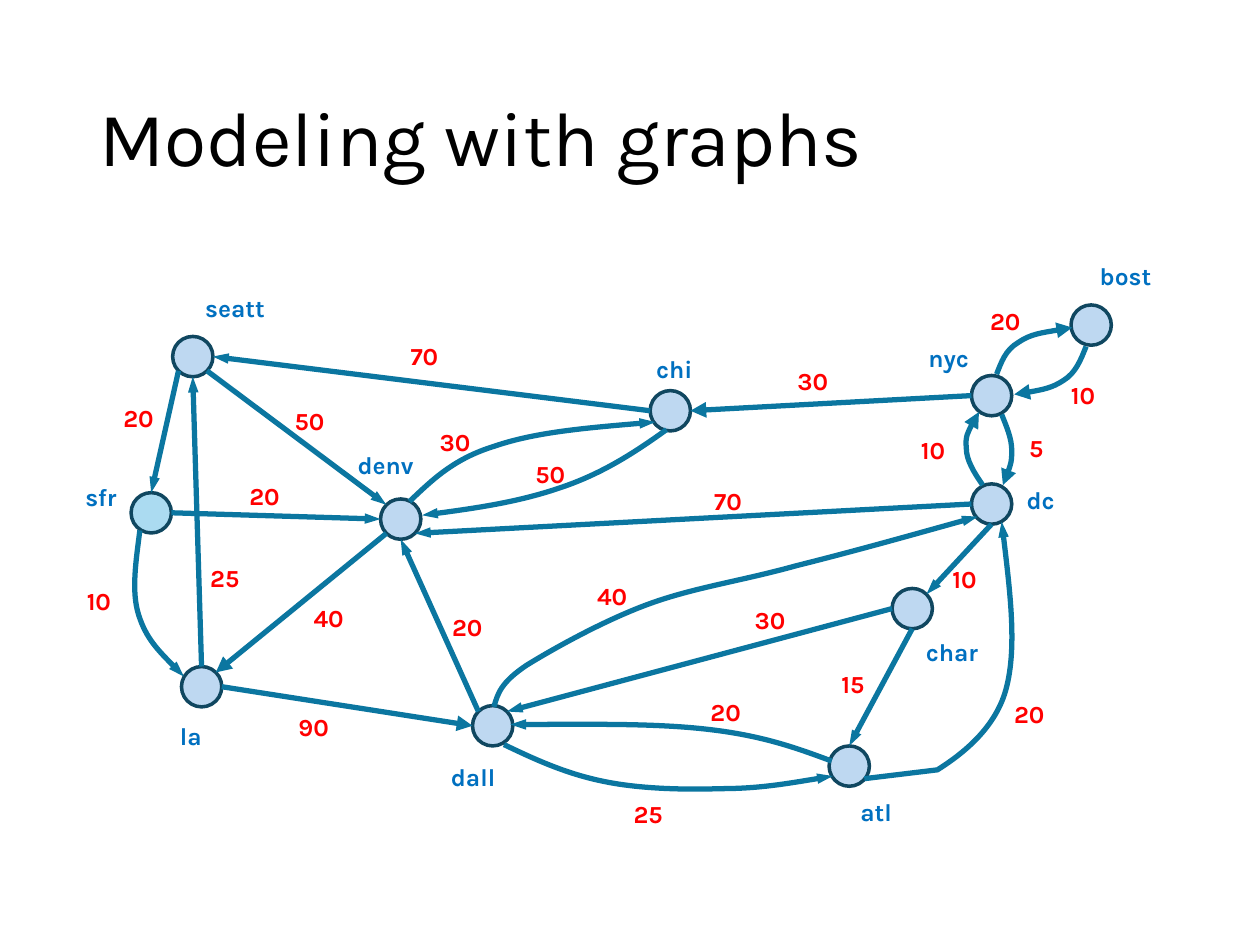
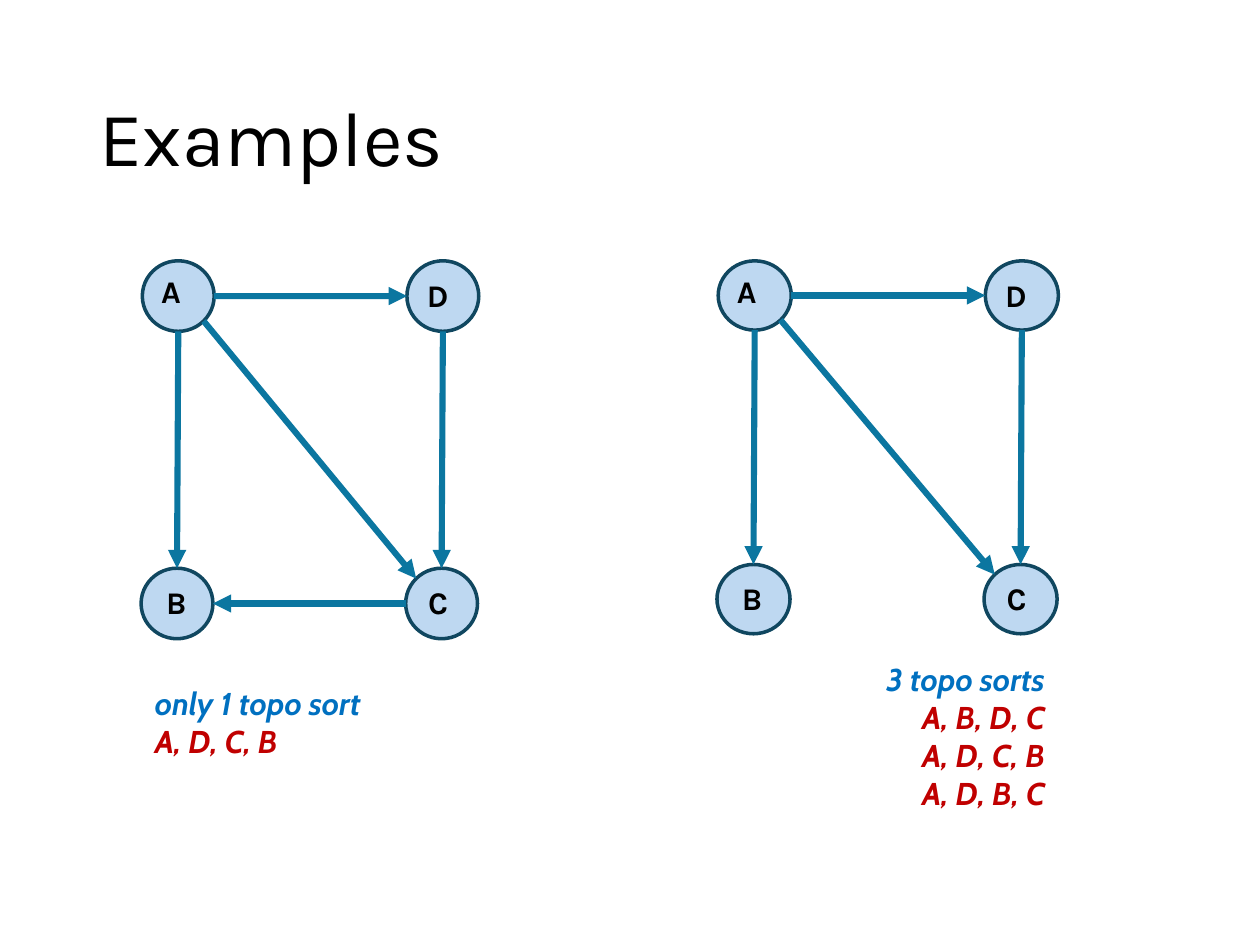
import math

from lxml import etree
from pptx import Presentation
from pptx import util as u
from pptx.dml.color import RGBColor
from pptx.enum import shapes as kinds, text as txt
from pptx.oxml.ns import qn

HUES = {
    "black": "000000", "node": "71AAE0", "start": "46B1E1", "rim": "104760",
    "edge": "0B76A0", "name": "0070C0", "cost": "FF0000", "sort": "C00000",
}
FONT, NOTE = "Karla", "Cabin"
SIDES = ["e", "se", "s", "sw", "w", "nw", "n", "ne"]

# City: left, top of its node; left, top, width of its name
CITIES = {
    "sfr": (0.54, 1.91, 0.08, 1.78, 0.49),
    "seatt": (0.87, 0.67, 1.03, 0.28, 0.75),
    "la": (0.94, 3.29, 0.83, 3.67, 0.75),
    "dall": (3.25, 3.6, 2.98, 4.0, 0.75),
    "atl": (6.08, 3.92, 6.23, 4.28, 0.66),
    "bost": (8.0, 0.42, 8.13, 0.02, 0.66),
    "nyc": (7.21, 0.98, 6.77, 0.67, 0.66),
    "dc": (7.21, 1.84, 7.55, 1.8, 0.66),
    "chi": (4.66, 1.1, 4.61, 0.76, 0.66),
    "char": (6.58, 2.67, 6.75, 3.01, 0.66),
    "denv": (2.52, 1.96, 2.24, 1.52, 0.66),
}
# Straight road: its two cities, the sides it joins, cost and its place
ROADS = [
    ("seatt", "sfr", "sw", "n", "20", 0.38, 1.15),
    ("la", "seatt", "n", "s", "25", 1.07, 2.42),
    ("chi", "seatt", "w", "e", "70", 2.66, 0.66),
    ("nyc", "chi", "w", "e", "30", 5.73, 0.86),
    ("la", "dall", "e", "w", "90", 1.77, 3.6),
    ("seatt", "denv", "se", "nw", "50", 1.74, 1.17),
    ("denv", "la", "sw", "ne", "40", 1.89, 2.74),
    ("dc", "denv", "w", "se", "70", 5.07, 1.81),
    ("dall", "denv", "nw", "s", "20", 2.99, 2.81),
    ("dc", "char", "s", "ne", "10", 6.96, 2.43),
    ("char", "dall", "w", "ne", "30", 5.39, 2.75),
    ("char", "atl", "s", "n", "15", 6.08, 3.26),
    ("sfr", "denv", "e", "w", "20", 1.38, 1.77),
]
# Curved road: its two cities, cost and its place, points of its Bezier chain
BENDS = [
    ("atl", "dc", "20", 7.45, 3.5, [
        (6.36, 4.18), (6.94, 4.11), (7.13, 3.99), (7.41, 3.78),
        (7.49, 3.45), (7.57, 3.13), (7.51, 2.63), (7.45, 2.14)]),
    ("atl", "dall", "20", 5.04, 3.48, [
        (6.1, 4.04), (5.83, 3.94), (5.56, 3.84), (5.13, 3.79),
        (4.71, 3.74), (4.13, 3.75), (3.55, 3.75)]),
    ("dall", "dc", "40", 4.14, 2.56, [
        (3.42, 3.61), (3.45, 3.51), (3.47, 3.42), (3.68, 3.28), (3.89, 3.15),
        (4.3, 2.92), (4.66, 2.79), (5.02, 2.66), (5.39, 2.61), (5.82, 2.49),
        (6.26, 2.38), (6.76, 2.24), (7.26, 2.1)]),
    ("dall", "atl", "25", 4.43, 4.29, [
        (3.5, 3.91), (3.75, 4.03), (3.99, 4.14), (4.28, 4.2), (4.56, 4.26),
        (4.91, 4.27), (5.22, 4.26), (5.52, 4.26), (5.81, 4.21), (6.11, 4.16)]),
    ("chi", "denv", "50", 3.65, 1.59, [
        (4.79, 1.41), (4.54, 1.59), (4.28, 1.76), (3.95, 1.87),
        (3.63, 1.98), (3.24, 2.04), (2.85, 2.09)]),
    ("denv", "chi", "30", 2.89, 1.34, [
        (2.75, 1.98), (2.93, 1.81), (3.1, 1.64), (3.43, 1.54),
        (3.75, 1.43), (4.23, 1.39), (4.7, 1.35)]),
    ("sfr", "la", "10", 0.09, 2.6, [
        (0.61, 2.21), (0.58, 2.45), (0.54, 2.69), (0.6, 2.88),
        (0.66, 3.07), (0.81, 3.22), (0.96, 3.37)]),
    ("nyc", "bost", "20", 7.26, 0.38, [
        (7.41, 0.97), (7.45, 0.87), (7.48, 0.78), (7.58, 0.72),
        (7.68, 0.65), (7.84, 0.63), (8.01, 0.6)]),
    ("bost", "nyc", "10", 7.9, 0.97, [
        (8.12, 0.75), (8.08, 0.85), (8.04, 0.96), (7.94, 1.02),
        (7.85, 1.08), (7.7, 1.11), (7.55, 1.13)]),
    ("nyc", "dc", "5", 7.57, 1.39, [
        (7.45, 1.29), (7.49, 1.39), (7.53, 1.48), (7.53, 1.58),
        (7.53, 1.67), (7.5, 1.76), (7.46, 1.85)]),
    ("dc", "nyc", "10", 6.71, 1.4, [
        (7.3, 1.85), (7.23, 1.75), (7.17, 1.65), (7.17, 1.56),
        (7.16, 1.46), (7.21, 1.37), (7.27, 1.27)]),
]
# Roads with a broad arrowhead
BROAD = {("nyc", "chi"), ("la", "dall"), ("denv", "la"), ("nyc", "bost"),
         ("bost", "nyc"), ("nyc", "dc"), ("dc", "nyc")}
# Letter: column, row, and shift of the letter inside its node
SPOTS = {"A": (0, 0, 0.05, 0.04), "D": (1, 0, 0.06, 0.07),
         "B": (0, 1, 0.1, 0.07), "C": (1, 1, 0.08, 0.07)}
LINKS = [("A", "s", "B", "n"), ("D", "s", "C", "n"),
         ("A", "se", "C", "nw"), ("A", "e", "D", "w")]


def rgb(hue):
    return RGBColor.from_string(HUES[hue])


def style(para, hue, size, font=FONT, bold=True, slant=False):
    for run in para.runs:
        face = run.font
        face.name, face.size = font, u.Pt(size)
        face.bold, face.italic = bold, slant
        face.color.rgb = rgb(hue)


def label(shapes, words, left, top, width, height):
    """Add a text box and return its paragraphs."""
    box = shapes.add_textbox(*map(u.Inches, (left, top, width, height)))
    frame = box.text_frame
    frame.word_wrap = True
    frame.text = words
    frame.auto_size = txt.MSO_AUTO_SIZE.SHAPE_TO_FIT_TEXT
    return frame.paragraphs


def tag(shapes, words, hue, left, top, width=0.61):
    style(label(shapes, words, left, top, width, 0.34)[0], hue, 14)


def node(shapes, left, top, width, height, hue="node"):
    """Add a see-through circle and return its box."""
    box = (left, top, width, height)
    dot = shapes.add_shape(kinds.MSO_SHAPE.OVAL, *map(u.Inches, box))
    dot.shadow.inherit = False
    dot.fill.solid()
    dot.fill.fore_color.rgb = rgb(hue)
    tint = dot._element.spPr.find(qn("a:solidFill"))[0]
    etree.SubElement(tint, qn("a:alpha"), val="45000")
    dot.line.color.rgb = rgb("rim")
    dot.line.width = u.Pt(2)
    return box


def point(box, side):
    """Return the place on the rim of a node at a compass side."""
    left, top, width, height = box
    turn = math.radians(45 * SIDES.index(side))
    return (left + width / 2 * (1 + math.cos(turn)),
            top + height / 2 * (1 + math.sin(turn)))


def ink(shape, size, head):
    """Draw a line or curve as an arrow."""
    shape.line.color.rgb = rgb("edge")
    shape.line.width = u.Pt(size)
    line = shape._element.spPr.find(qn("a:ln"))
    etree.SubElement(line, qn("a:tailEnd"), type="triangle", w=head)


def arrow(shapes, start, end, size, head="med"):
    line = shapes.add_connector(
        kinds.MSO_CONNECTOR.STRAIGHT, *map(u.Inches, (*start, *end)))
    ink(line, size, head)
    etree.SubElement(line._element.spPr, qn("a:effectLst"))


def curve(shapes, chain, size, head):
    """Draw a Bezier chain; one point to spare makes a straight start."""
    first, *rest = [tuple(map(u.Inches, spot)) for spot in chain]
    pen = shapes.build_freeform(*first)
    pen.add_line_segments(rest, close=False)
    bend = pen.convert_to_shape()
    path = bend._element.find(".//" + qn("a:path"))
    steps = path.findall(qn("a:lnTo"))
    for i in range(len(steps) % 3, len(steps), 3):
        arc = etree.SubElement(path, qn("a:cubicBezTo"))
        for step in steps[i:i + 3]:
            arc.append(step[0])
            path.remove(step)
    bend.shadow.inherit = False
    bend.fill.background()
    ink(bend, size, head)


def page(deck, words):
    """Add a slide with its title and return its shapes."""
    slide = deck.slides.add_slide(deck.slide_layouts[5])
    title = slide.shapes.title
    title.left, title.top = u.Inches(0.69), u.Inches(0.4)
    title.width, title.height = u.Inches(8.62), u.Inches(1.45)
    frame = title.text_frame
    frame.text = words
    frame.vertical_anchor = txt.MSO_ANCHOR.MIDDLE
    para = frame.paragraphs[0]
    para.alignment = txt.PP_ALIGN.LEFT
    para.line_spacing = 0.9
    style(para, "black", 44, bold=False)
    return slide.shapes


def routes(shapes, left, top):
    """Draw the city map from its top left corner."""
    dots = {}
    for city, (x, y, *_) in CITIES.items():
        hue = "start" if city == "sfr" else "node"
        dots[city] = node(shapes, left + x, top + y, 0.32, 0.32, hue)
    for a, b, out, side, *_ in ROADS:
        head = "med" if (a, b) in BROAD else "sm"
        arrow(shapes, point(dots[a], out), point(dots[b], side), 3, head)
    for a, b, *_, chain in BENDS:
        head = "med" if (a, b) in BROAD else "sm"
        curve(shapes, [(left + x, top + y) for x, y in chain], 3, head)
    for city, (*_, x, y, width) in CITIES.items():
        tag(shapes, city, "name", left + x, top + y, width)
    costs = [road[4:] for road in ROADS] + [bend[2:5] for bend in BENDS]
    for cost, x, y in costs:
        tag(shapes, cost, "cost", left + x, top + y)


def square(shapes, box, size, links):
    """Draw four lettered nodes in the corners of a box."""
    left, top, width, height = box
    wide, high = size
    part = shapes.add_group_shape().shapes
    dots = {}
    for name, (col, row, *_) in SPOTS.items():
        dots[name] = node(part, left + col * (width - wide) - 0.01 * row,
                          top + row * (height - high), wide, high)
    for a, out, b, side in links:
        arrow(part, point(dots[a], out), point(dots[b], side), 3.5)
    for name, (*_, dx, dy) in SPOTS.items():
        x, y, *_ = dots[name]
        para = label(part, name, x + dx, y + dy, 0.5, 0.44)[0]
        para.space_after = u.Pt(6)
        style(para, "black", 18)


def sorts(shapes, box, lines, align):
    """Write a heading and the orders below it."""
    for i, para in enumerate(label(shapes, "\n".join(lines), *box)):
        para.alignment = align
        style(para, "sort" if i else "name", 18, NOTE, slant=True)


def main():
    deck = Presentation()
    deck.slide_width, deck.slide_height = u.Inches(10), u.Inches(7.5)

    routes(page(deck, "Modeling with graphs"), 0.5, 2)

    shapes = page(deck, "Examples")
    square(shapes, (1.13, 2.07, 2.67, 3), (0.57, 0.56),
           LINKS + [("C", "w", "B", "e")])
    sorts(shapes, (1.13, 5.38, 2.35, 0.71),
          ["only 1 topo sort", "A, D, C, B"], txt.PP_ALIGN.LEFT)
    sorts(shapes, (5.84, 5.19, 2.55, 1.31),
          ["3 topo sorts", "A, B, D, C", "A, D, C, B", "A, D, B, C"],
          txt.PP_ALIGN.RIGHT)
    square(shapes, (5.7, 2.07, 2.7, 2.96), (0.58, 0.55), LINKS)

    deck.save("out.pptx")


if __name__ == "__main__":
    main()
